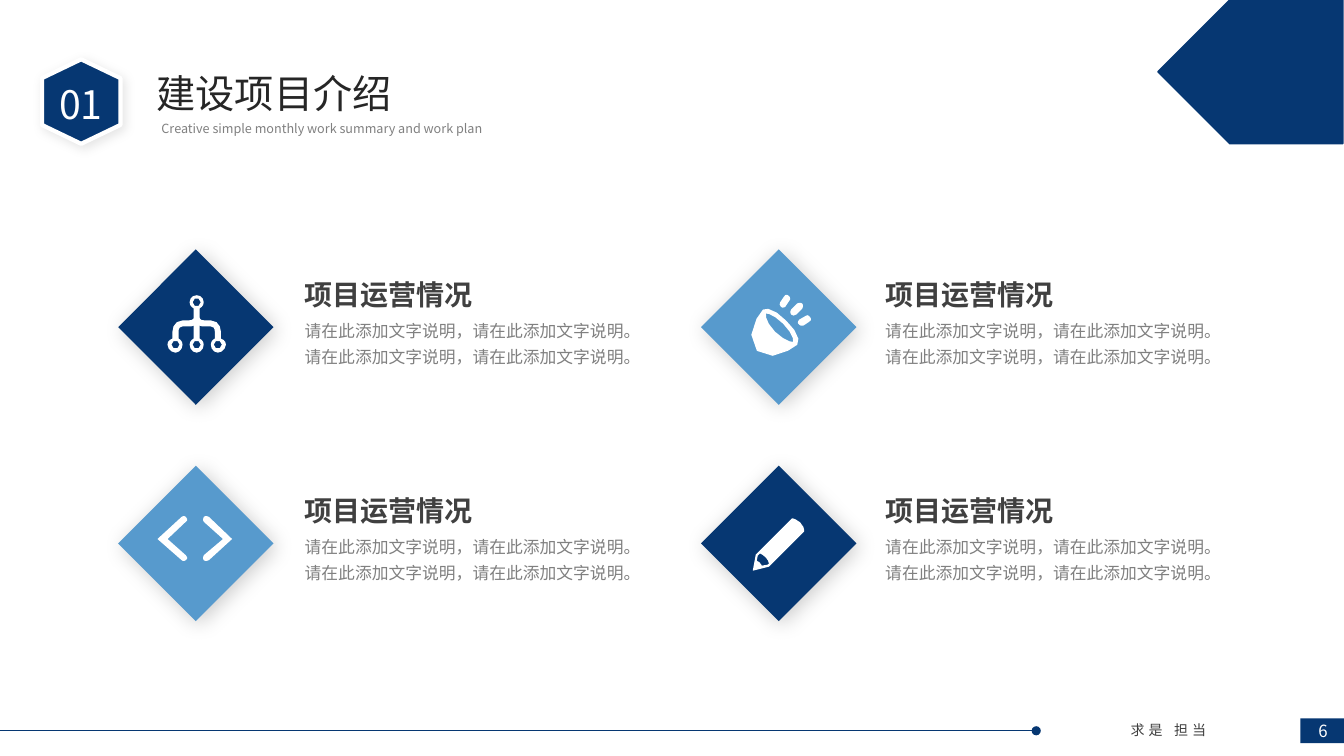
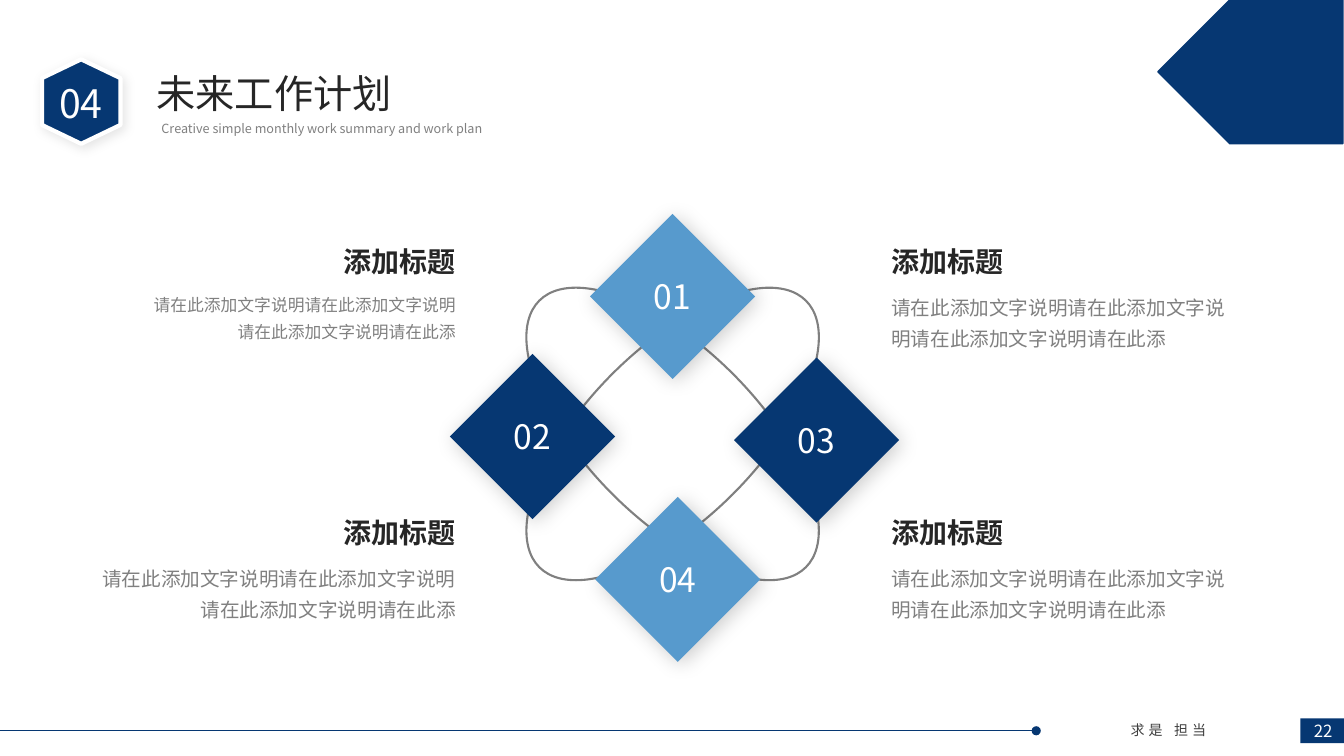
from pptx import Presentation
from pptx.dml.color import RGBColor
from pptx.enum.shapes import MSO_CONNECTOR, MSO_SHAPE
from pptx.enum.text import MSO_ANCHOR, MSO_AUTO_SIZE, PP_ALIGN
from pptx.oxml.ns import qn
from pptx.oxml.xmlchemy import OxmlElement
from pptx.util import Cm, Pt

FONT = "Noto Sans CJK SC"
NAVY, SKY, WHITE = "063772", "579ACD", "FFFFFF"
INK, DARK, GRAY = "262626", "404040", "808080"
SOFT_SHADOW = (15, 20)  # blur in points, opacity in percent
BADGE_SHADOW = (8, 10)


def paint(shape, fill=None, line=None, width=1, shadow=None):
    """Set fill, outline and an optional (blur, opacity) shadow."""
    if fill:
        shape.fill.solid()
        shape.fill.fore_color.rgb = RGBColor.from_string(fill)
    else:
        shape.fill.background()
    if line:
        shape.line.color.rgb = RGBColor.from_string(line)
        shape.line.width = Pt(width)
    else:
        shape.line.fill.background()
    shape.shadow.inherit = False
    if shadow:
        blur, opacity = shadow
        outer = OxmlElement("a:outerShdw")
        for name, value in (("blurRad", Pt(blur)), ("dist", Pt(3)), ("dir", 45 * 60000),
                            ("algn", "tl"), ("rotWithShape", 0)):
            outer.set(name, str(value))
        tint = OxmlElement("a:srgbClr")
        tint.set("val", "000000")
        alpha = OxmlElement("a:alpha")
        alpha.set("val", str(opacity * 1000))
        tint.append(alpha)
        outer.append(tint)
        shape._element.spPr.find(qn("a:effectLst")).append(outer)


def write(box, text, size, color, bold=False, align=PP_ALIGN.LEFT, line_spacing=None, tracking=0):
    """Fill a box with text, one paragraph per line, in one style."""
    frame = box.text_frame
    frame.word_wrap = True
    frame.text = text
    for para in frame.paragraphs:
        para.alignment = align
        para.line_spacing = line_spacing
        for span in para.runs:
            span.font.size = Pt(size)
            span.font.bold = bold
            span.font.color.rgb = RGBColor.from_string(color)
            span.font.name = FONT
            properties = span.font._element
            east_asian = OxmlElement("a:ea")
            east_asian.set("typeface", FONT)
            properties.append(east_asian)
            if tracking:
                properties.set("spc", str(tracking * 100))


deck = Presentation()
deck.slide_width, deck.slide_height = Cm(33.87), Cm(19.05)

# Title, badge, corner and footer on every page
pages = []
for section, section_top, title, number in (
    ("01", 1.9, "建设项目介绍", "6"),
    ("04", 1.88, "未来工作计划", "22"),
):
    page = deck.slides.add_slide(deck.slide_layouts[6])
    pages.append(page)
    shapes = page.shapes

    subtitle = shapes.add_textbox(Cm(3.82), Cm(2.74), Cm(9.98), Cm(0.76))
    write(subtitle, "Creative simple monthly work summary and work plan", 9, GRAY, line_spacing=1.5)

    rule = shapes.add_connector(MSO_CONNECTOR.STRAIGHT, 0, Cm(18.41), Cm(26.12), Cm(18.41))
    rule.line.color.rgb = RGBColor.from_string(NAVY)
    rule.line.width = Pt(1)
    rule._element.spPr.append(OxmlElement("a:effectLst"))
    dot = shapes.add_shape(MSO_SHAPE.OVAL, Cm(26), Cm(18.3), Cm(0.23), Cm(0.23))
    paint(dot, NAVY)

    motto = shapes.add_textbox(Cm(26.18), Cm(18.06), Cm(6.53), Cm(0.71))
    write(motto, "求是 担当", 10, DARK, align=PP_ALIGN.CENTER, tracking=3)

    number_plate = shapes.add_shape(MSO_SHAPE.RECTANGLE, Cm(32.77), Cm(18.1), Cm(1.1), Cm(0.63))
    paint(number_plate, NAVY)
    page_number = shapes.add_textbox(Cm(32.42), Cm(18.03), Cm(1.85), Cm(0.76))
    write(page_number, number, 12, WHITE, align=PP_ALIGN.CENTER)

    corner = shapes.add_shape(MSO_SHAPE.PENTAGON, Cm(29.18), 0, Cm(4.66), Cm(3.62))
    corner.rotation = 180
    paint(corner, NAVY, NAVY)

    heading = shapes.add_textbox(Cm(3.7), Cm(1.63), Cm(6.5), Cm(1.45))
    write(heading, title, 28, INK)

    badge = shapes.add_shape(MSO_SHAPE.HEXAGON, Cm(0.98), Cm(1.57), Cm(2.13), Cm(1.98))
    badge.rotation = 90
    badge.adjustments[0] = 0.24
    paint(badge, NAVY, WHITE, 3, BADGE_SHADOW)
    badge_number = shapes.add_textbox(Cm(1.22), Cm(section_top), Cm(1.63), Cm(1.45))
    write(badge_number, section, 28, WHITE, align=PP_ALIGN.CENTER)

    for box in (heading, badge_number):
        box.text_frame.word_wrap = False
        box.text_frame.auto_size = MSO_AUTO_SIZE.SHAPE_TO_FIT_TEXT

intro, plan = pages

# Icon outlines in hundredths of an inch: ";" parts outlines, "," parts segments.
# Two numbers make a line, six a cubic curve.
ORG_CHART = (
    "53 43, 53 36, 53 31 50 25 43 25, 37 25, 32 25 32 23 32 22, 32 13, 34 12 36 10 36 7, "
    "36 3 33 0 29 0, 25 0 22 3 22 7, 22 10 24 12 26 13, 26 22, 26 23 26 25 21 25, 15 25, "
    "8 25 5 31 5 36, 5 43, 2 44 0 46 0 49, 0 53 4 57 8 57, 12 57 15 53 15 49, "
    "15 46 13 44 11 43, 11 36, 11 35 11 31 15 31, 21 31, 23 31 25 31 26 30, 26 43, "
    "24 44 22 46 22 49, 22 53 25 57 29 57, 33 57 36 53 36 49, 36 46 34 44 32 43, 32 30, "
    "33 31 35 31 37 31, 43 31, 47 31 47 35 47 36, 47 43, 45 44 43 46 43 49, "
    "43 53 46 57 50 57, 54 57 58 53 58 49, 58 46 56 44 53 43"
)
for x, y in ((29, 7), (8, 49), (29, 49), (50, 49)):
    ORG_CHART += (f"; {x - 4} {y}, {x - 4} {y - 5.3} {x + 4} {y - 5.3} {x + 4} {y}, "
                  f"{x + 4} {y + 5.3} {x - 4} {y + 5.3} {x - 4} {y}")
LAMP = (
    "20 15, 16 19 0 42 14 56, 28 69 50 53 54 50, 58 46 53 35 43 26, 34 16 23 12 20 15; "
    "50 47, 49 48 40 45 32 37, 24 29 22 21 23 19, 24 18 32 21 40 29, 48 37 51 45 50 47; "
    "50 21, 51 21 52 20 53 20, 59 14, 60 12 60 10 59 9, 58 8 56 8 54 9, 48 15, "
    "47 16 47 19 48 20, 49 20 50 21 50 21; "
    "39 13, 40 13, 41 13 42 13 43 11, 47 5, 47 4 47 2 45 1, 44 0 42 0 41 2, 37 8, "
    "36 10 37 12 39 13; "
    "67 23, 66 21 64 20 63 21, 56 25, 55 26 54 28 55 29, 56 30 57 31 58 31, "
    "59 31 59 31 60 31, 66 27, 68 26 68 24 67 23"
)
CODE = (
    "28 1, 27 0 25 0 24 1, 0 23, 24 44, 25 45 27 45 28 44, 30 43 30 41 28 39, 10 23, 28 6, "
    "30 5 30 3 28 1; "
    "51 1, 49 0 47 0 46 1, 45 3 45 5 46 6, 65 23, 46 39, 45 41 45 43 46 44, "
    "47 45 49 45 51 44, 74 23"
)
PENCIL = (
    "47 4, 42 0 39 0 39 0, 3 36, 0 52, 16 48, 51 13, 51 13 52 9 47 4; "
    "15 46, 9 47, 9 46 8 46 7 44, 6 43 5 43 4 42, 5 37, 7 35, 7 35 9 35 13 39, "
    "16 42 16 45 16 45"
)
UNIT = Cm(2.54) / 100
CURVE_STEPS = 3

# Page 1: four topics in a two by two grid
topics = (
    (NAVY, ORG_CHART, 4.22, 7.44),
    (SKY, LAMP, 18.72, 7.42),
    (SKY, CODE, 3.97, 13),
    (NAVY, PENCIL, 18.97, 13.06),
)
for index, (color, icon, icon_left, icon_top) in enumerate(topics):
    row, column = divmod(index, 2)
    diamond_left, text_left = 3.55 + 14.69 * column, 7.43 + 14.63 * column
    top = 6.86 + 5.45 * row
    diamond = intro.shapes.add_shape(
        MSO_SHAPE.RECTANGLE, Cm(diamond_left), Cm(top), Cm(2.77), Cm(2.77))
    diamond.rotation = 45
    paint(diamond, color, shadow=SOFT_SHADOW)

    builder = None
    for outline in icon.split(";"):
        points = []
        for segment in outline.split(","):
            values = [float(value) * UNIT for value in segment.split()]
            if len(values) == 2:
                points.append((round(values[0]), round(values[1])))
                continue
            start = points[-1]
            for step in range(1, CURVE_STEPS + 1):
                t = step / CURVE_STEPS
                points.append(tuple(
                    round((1 - t) ** 3 * start[axis] + 3 * (1 - t) ** 2 * t * values[axis]
                          + 3 * (1 - t) * t ** 2 * values[axis + 2] + t ** 3 * values[axis + 4])
                    for axis in (0, 1)))
        if builder is None:
            builder = intro.shapes.build_freeform(*points[0])
        else:
            builder.move_to(*points[0])
        builder.add_line_segments(points[1:], close=True)
    paint(builder.convert_to_shape(Cm(icon_left), Cm(icon_top)), WHITE)

    topic = intro.shapes.add_textbox(Cm(text_left), Cm(top), Cm(4.83), Cm(1.12))
    write(topic, "项目运营情况", 20, DARK, bold=True)
    detail = intro.shapes.add_textbox(Cm(text_left), Cm(top + 0.94), Cm(9.04), Cm(1.52))
    write(detail, "请在此添加文字说明，请在此添加文字说明。" * 2, 12, GRAY, line_spacing=1.3)

# Page 2: four numbered diamonds on two crossed rings
for angle in (45, 135):
    ring = plan.shapes.add_shape(MSO_SHAPE.OVAL, Cm(12.2), Cm(8.79), Cm(9.5), Cm(4.29))
    ring.rotation = angle
    paint(ring, line=GRAY, width=1.5)

for label, color, left, top in (
    ("01", SKY, 14.87, 5.39),
    ("03", NAVY, 18.5, 9.01),
    ("04", SKY, 15, 12.52),
    ("02", NAVY, 11.34, 8.92),
):
    step_diamond = plan.shapes.add_shape(
        MSO_SHAPE.FLOWCHART_DECISION, Cm(left), Cm(top), Cm(4.16), Cm(4.16))
    paint(step_diamond, color, shadow=SOFT_SHADOW)
    write(step_diamond, label, 24, WHITE, align=PP_ALIGN.CENTER)
    step_diamond.text_frame.vertical_anchor = MSO_ANCHOR.MIDDLE

PHRASE = "请在此添加文字说明"
FLOWING = PHRASE * 3 + "请在此添"
BROKEN = PHRASE * 2 + "\n" + PHRASE + "请在此添"
LEFT_EDGE, RIGHT_EDGE = 22.21, 11.74
for align, top, heading_width, width, size, text in (
    (PP_ALIGN.LEFT, 12.87, 5.26, 9.37, 14, FLOWING),
    (PP_ALIGN.LEFT, 6.04, 5.26, 9.37, 14, FLOWING),
    (PP_ALIGN.RIGHT, 12.87, 5.54, 9.88, 14, FLOWING),
    (PP_ALIGN.RIGHT, 6.04, 4.83, 8.56, 12, BROKEN),
):
    on_left = align == PP_ALIGN.RIGHT
    heading_left = RIGHT_EDGE - heading_width if on_left else LEFT_EDGE
    body_left = RIGHT_EDGE - width if on_left else LEFT_EDGE
    heading = plan.shapes.add_textbox(Cm(heading_left), Cm(top), Cm(heading_width), Cm(1.12))
    write(heading, "添加标题", 20, INK, bold=True, align=align)
    body = plan.shapes.add_textbox(Cm(body_left), Cm(top + 1.12), Cm(width), Cm(1.73))
    write(body, text, size, GRAY, align=align, line_spacing=1.3)

deck.save("out.pptx")
